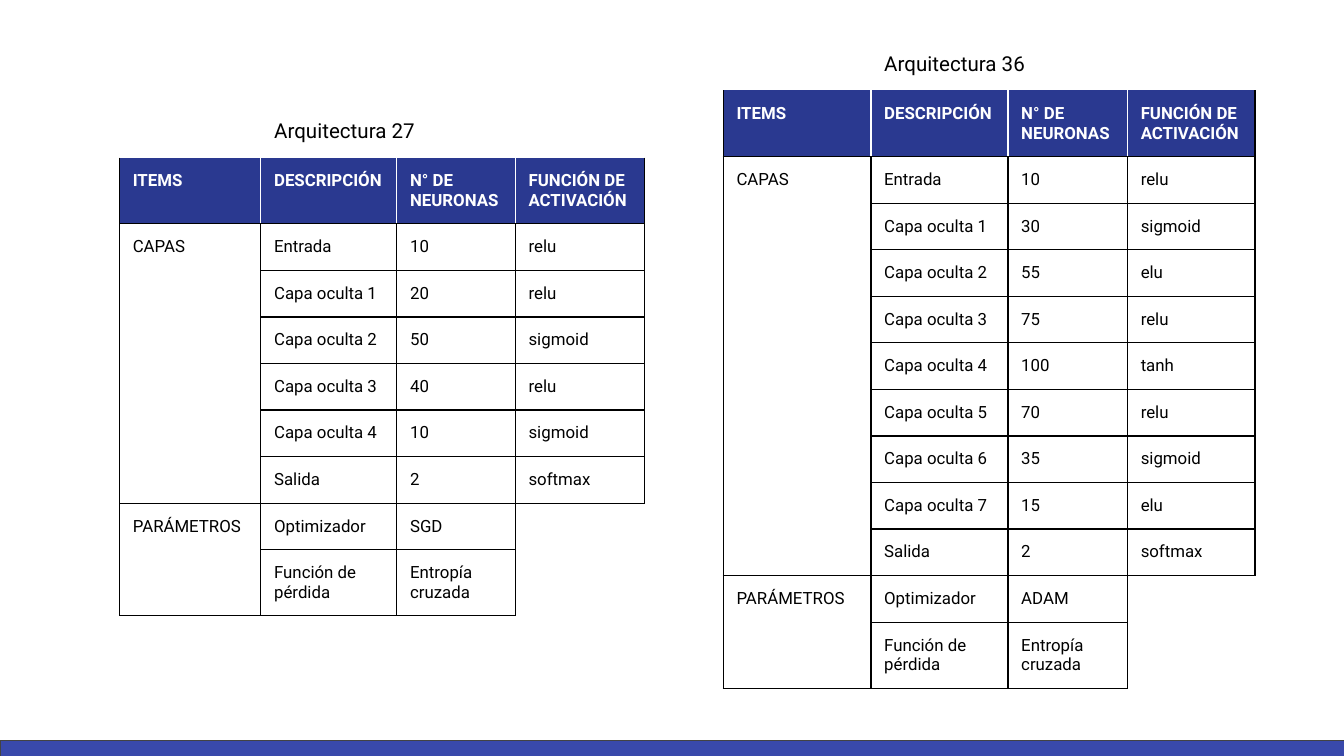
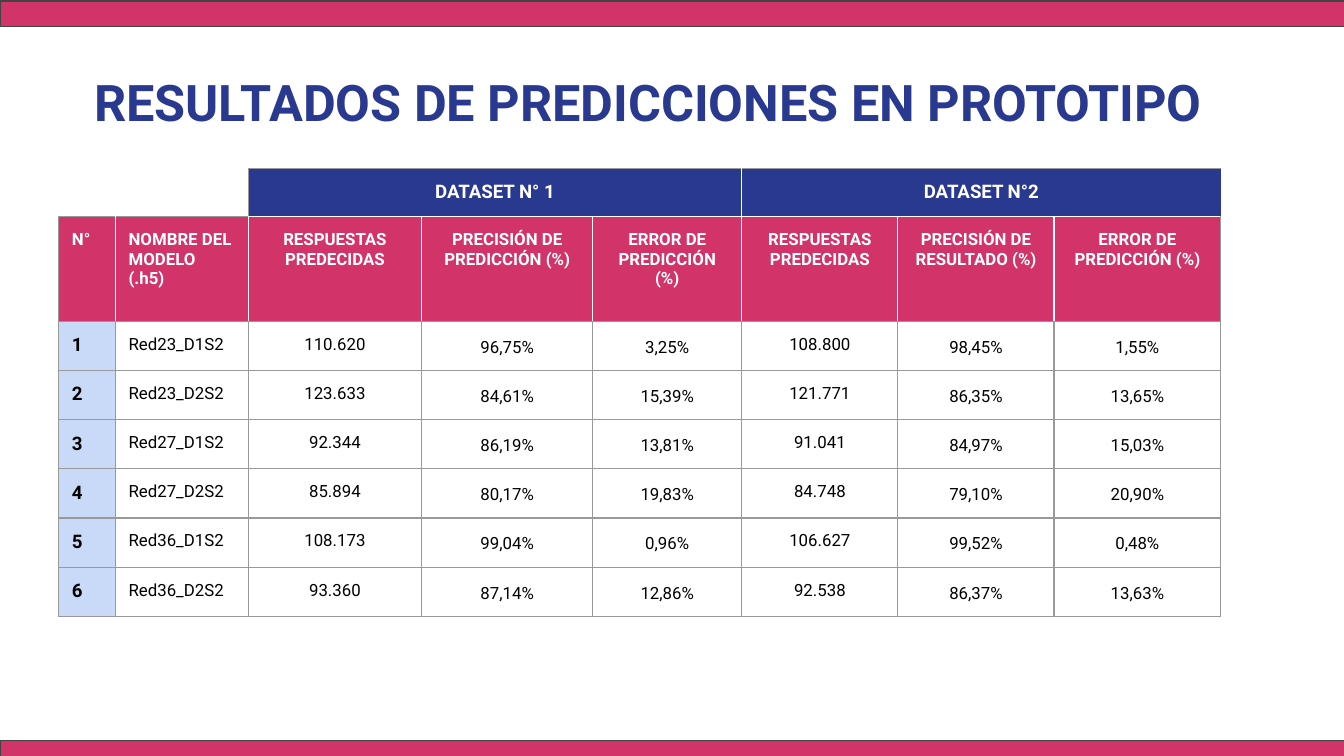
from collections import namedtuple

from lxml import etree
from pptx import Presentation
from pptx.dml.color import RGBColor
from pptx.enum.shapes import MSO_SHAPE
from pptx.enum.text import MSO_ANCHOR, MSO_AUTO_SIZE, PP_ALIGN
from pptx.oxml.ns import qn
from pptx.util import Cm, Pt

LEFT, CENTER = PP_ALIGN.LEFT, PP_ALIGN.CENTER
MIDDLE = MSO_ANCHOR.MIDDLE
NO_AUTOFIT = MSO_AUTO_SIZE.NONE
RECTANGLE = MSO_SHAPE.RECTANGLE
TITLE_ONLY, BLANK = 5, 6

# Content

ARCH_HEADERS = ["ITEMS", "DESCRIPCIÓN", "N° DE NEURONAS", "FUNCIÓN DE ACTIVACIÓN"]

ARCH_36 = {
    "caption": "Arquitectura 36",
    "neurons": [10, 30, 55, 75, 100, 70, 35, 15, 2],
    "activations": ["relu", "sigmoid", "elu", "relu", "tanh", "relu",
                    "sigmoid", "elu", "softmax"],
    "optimizer": "ADAM",
    "corner": (13.67, 0.74),
    "columns": [2.79, 2.59, 2.26, 2.41],
}
ARCH_27 = {
    "caption": "Arquitectura 27",
    "neurons": [10, 20, 50, 40, 10, 2],
    "activations": ["relu", "relu", "sigmoid", "relu", "sigmoid", "softmax"],
    "optimizer": "SGD",
    "corner": (2.26, 2.01),
    "columns": [2.67, 2.57, 2.24, 2.44],
}

RESULTS_TITLE = "RESULTADOS DE PREDICCIONES EN PROTOTIPO"
DATASETS = ["DATASET N° 1", "DATASET N°2"]
RESULT_HEADERS = [
    "N°", "NOMBRE DEL MODELO (.h5)",
    "RESPUESTAS PREDECIDAS", "PRECISIÓN DE PREDICCIÓN (%)", "ERROR DE PREDICCIÓN (%)",
    "RESPUESTAS PREDECIDAS", "PRECISIÓN DE RESULTADO (%)", "ERROR DE PREDICCIÓN (%)",
]
RESULTS = [
    ("Red23_D1S2", "110.620", "96,75%", "3,25%", "108.800", "98,45%", "1,55%"),
    ("Red23_D2S2", "123.633", "84,61%", "15,39%", "121.771", "86,35%", "13,65%"),
    ("Red27_D1S2", "92.344", "86,19%", "13,81%", "91.041", "84,97%", "15,03%"),
    ("Red27_D2S2", "85.894", "80,17%", "19,83%", "84.748", "79,10%", "20,90%"),
    ("Red36_D1S2", "108.173", "99,04%", "0,96%", "106.627", "99,52%", "0,48%"),
    ("Red36_D2S2", "93.360", "87,14%", "12,86%", "92.538", "86,37%", "13,63%"),
]
RESULT_COLUMNS = [1.07, 2.51, 3.28, 3.23, 2.82, 2.95, 2.95, 3.15]


# Theme

class Theme:
    font = "Roboto"
    navy, indigo, pink, pale_blue = "2A3990", "3949AB", "D23369", "C9DAF8"
    black, white, grey, charcoal = "000000", "FFFFFF", "999999", "434343"
    title_size, caption_size, group_size, body_size = 27, 11, 10, 9
    line = Pt(0.75)
    inset = Cm(0.25)


TextStyle = namedtuple("TextStyle", "size colour bold align spacing",
                       defaults=(False, LEFT, None))

TITLE = TextStyle(Theme.title_size, Theme.navy, True, CENTER)
CAPTION = TextStyle(Theme.caption_size, Theme.black)
GROUP = TextStyle(Theme.group_size, Theme.white, True, CENTER)
HEADER = TextStyle(Theme.body_size, Theme.white, True)
HEADER_CENTERED = HEADER._replace(align=CENTER)
BODY = TextStyle(Theme.body_size, Theme.black)
COUNT = BODY._replace(align=CENTER)
PERCENT = COUNT._replace(spacing=1.15)
INDEX = TextStyle(Theme.group_size, Theme.black, True)


# Shared building blocks

def write(frame, text, style):
    paragraph = frame.paragraphs[0]
    paragraph.alignment = style.align
    if style.spacing:
        paragraph.line_spacing = style.spacing
    run = paragraph.add_run()
    run.text = text
    run.font.name = Theme.font
    run.font.size = Pt(style.size)
    run.font.bold = style.bold
    run.font.color.rgb = RGBColor.from_string(style.colour)


def set_insets(box, inset):
    box.margin_left = box.margin_right = box.margin_top = box.margin_bottom = inset


def add_band(slide, top, colour):
    band = slide.shapes.add_shape(RECTANGLE, 0, Cm(top), Cm(25.45), Cm(0.48))
    band.shadow.inherit = False
    band.fill.solid()
    band.fill.fore_color.rgb = RGBColor.from_string(colour)
    band.line.color.rgb = RGBColor.from_string(Theme.charcoal)
    band.line.width = Theme.line


def add_grid(slide, corner, columns, rows):
    left, top = corner
    table = slide.shapes.add_table(
        len(rows), len(columns), Cm(left), Cm(top), Cm(sum(columns)), Cm(sum(rows))).table
    table.first_row = table.horz_banding = False
    for column, width in zip(table.columns, columns):
        column.width = Cm(width)
    for row, height in zip(table.rows, rows):
        row.height = Cm(height)
    return table


def dress_cell(cell, text, style, fill, edges):
    """Edges are the left, right, top and bottom colours; None draws no line."""
    properties = cell._tc.get_or_add_tcPr()
    for side, colour in zip("LRTB", edges):
        line = etree.SubElement(properties, qn(f"a:ln{side}"), w=str(Theme.line))
        if colour:
            solid = etree.SubElement(line, qn("a:solidFill"))
            etree.SubElement(solid, qn("a:srgbClr"), val=colour)
        else:
            etree.SubElement(line, qn("a:noFill"))
    if fill:
        cell.fill.solid()
        cell.fill.fore_color.rgb = RGBColor.from_string(fill)
    else:
        cell.fill.background()
    set_insets(cell, Theme.inset if text else 0)
    if text:
        write(cell.text_frame, text, style)


# Architecture tables

def architecture_rows(arch):
    neurons = arch["neurons"]
    hidden = [f"Capa oculta {n}" for n in range(1, len(neurons) - 1)]
    layers = zip(["Entrada", *hidden, "Salida"], map(str, neurons), arch["activations"])
    rows = [["", arch["caption"], "", ""], ARCH_HEADERS]
    rows += [["", *layer] for layer in layers]
    rows += [["PARÁMETROS", "Optimizador", arch["optimizer"], ""],
             ["", "Función de pérdida", "Entropía cruzada", ""]]
    rows[2][0] = "CAPAS"
    return rows


def architecture_look(row, col, parameters):
    """Style, fill and edges of a cell; parameters is the first parameter row."""
    black, white = Theme.black, Theme.white
    if row == 0:
        return CAPTION, None, [None] * 4
    if row == 1:
        return HEADER, Theme.navy, [black if col == 0 else white,
                                    black if col == 3 else white, None, black]
    if row >= parameters and col == 3:
        return BODY, None, [black, None, black if row == parameters else None, None]
    return BODY, None, [black] * 4


def add_architecture(slide, arch):
    rows = architecture_rows(arch)
    last = len(rows) - 1
    parameters = last - 1
    heights = [0.97, 1.25] + [0.88] * (last - 2) + [1.25]
    table = add_grid(slide, arch["corner"], arch["columns"], heights)
    for r, texts in enumerate(rows):
        for c, text in enumerate(texts):
            dress_cell(table.cell(r, c), text, *architecture_look(r, c, parameters))
    merges = [((0, 1), (0, 2)), ((2, 0), (parameters - 1, 0)),
              ((parameters, 0), (last, 0)), ((parameters, 3), (last, 3))]
    for start, end in merges:
        table.cell(*start).merge(table.cell(*end))


# Results table

def result_style(row, col):
    if row == 0:
        return GROUP
    if row == 1:
        return HEADER if col < 2 else HEADER_CENTERED
    if col < 2:
        return (INDEX, BODY)[col]
    return COUNT if col in (2, 5) else PERCENT


def result_look(row, col):
    grey, white = Theme.grey, Theme.white
    style = result_style(row, col)
    right = grey if col == 7 else white
    if row == 0 and col < 2:
        return style, None, [None, grey if col == 1 else None, None, grey]
    if row == 0:
        left = {2: grey, 5: white}.get(col)
        return style, Theme.navy, [left, right if col in (4, 7) else None, grey, white]
    if row == 1:
        return style, Theme.pink, [grey if col == 0 else white, right,
                                   grey if col < 2 else white, grey]
    return style, Theme.pale_blue if col == 0 else None, [grey] * 4


def add_results(slide):
    groups = ["", ""] + [text for name in DATASETS for text in (name, "", "")]
    numbered = [(str(n), *result) for n, result in enumerate(RESULTS, 1)]
    heights = [0.91, 1.98] + [0.93] * len(RESULTS)
    table = add_grid(slide, (1.11, 3.18), RESULT_COLUMNS, heights)
    for r, texts in enumerate([groups, RESULT_HEADERS, *numbered]):
        for c, text in enumerate(texts):
            dress_cell(table.cell(r, c), text, *result_look(r, c))
    for first in (2, 5):
        table.cell(0, first).merge(table.cell(0, first + 2))


def add_title(slide, text):
    title = slide.shapes.title
    title.left, title.top, title.width, title.height = Cm(0.41), Cm(1.07), Cm(23.67), Cm(1.68)
    frame = title.text_frame
    frame.word_wrap = True
    frame.auto_size = NO_AUTOFIT
    frame.vertical_anchor = MIDDLE
    set_insets(frame, Theme.inset)
    write(frame, text, TITLE)


def main():
    deck = Presentation()
    deck.slide_width, deck.slide_height = Cm(25.4), Cm(14.29)
    footer_top, header_top = 14, 0.02

    architectures = deck.slides.add_slide(deck.slide_layouts[BLANK])
    add_architecture(architectures, ARCH_36)
    add_band(architectures, footer_top, Theme.indigo)
    add_architecture(architectures, ARCH_27)

    results = deck.slides.add_slide(deck.slide_layouts[TITLE_ONLY])
    add_title(results, RESULTS_TITLE)
    add_results(results)
    for top in (footer_top, header_top):
        add_band(results, top, Theme.pink)

    deck.save("out.pptx")


if __name__ == "__main__":
    main()
